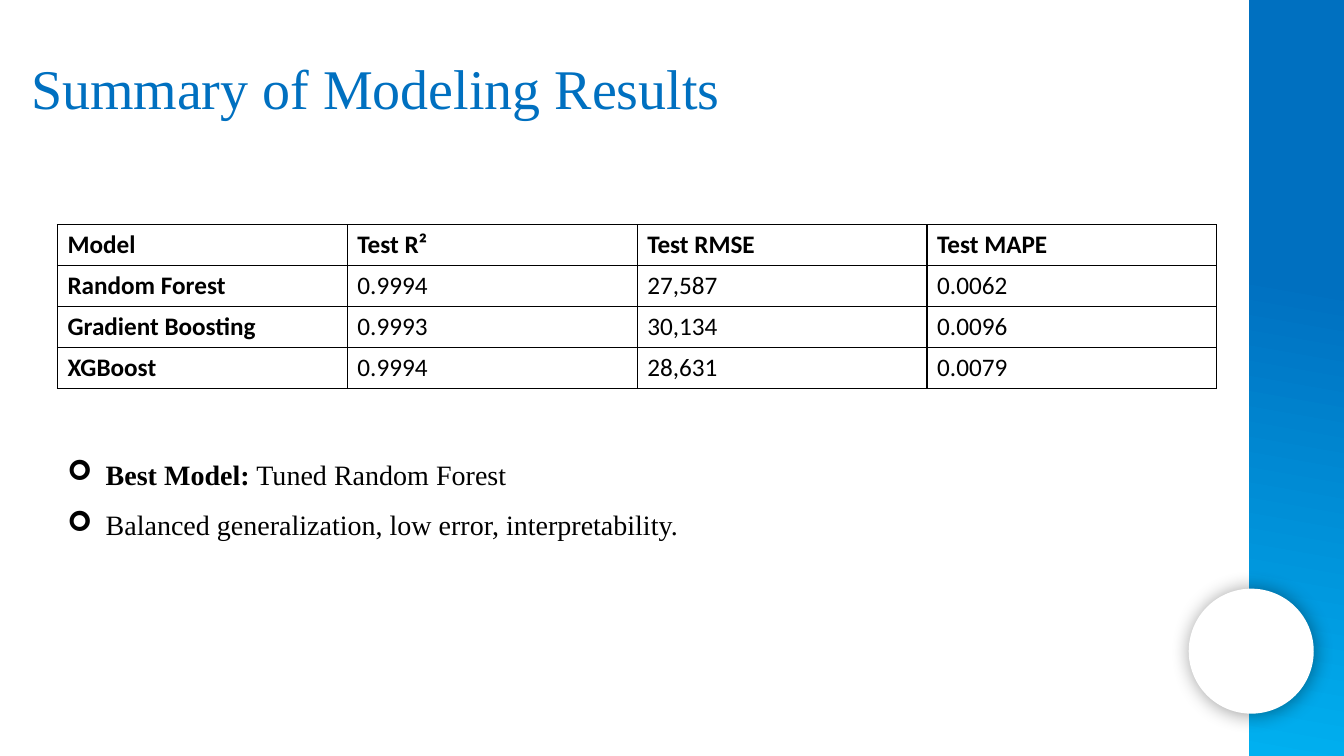
from lxml import etree
from pptx import Presentation
from pptx.dml.color import RGBColor
from pptx.enum.shapes import MSO_SHAPE
from pptx.enum.text import MSO_ANCHOR, PP_ALIGN
from pptx.oxml import parse_xml
from pptx.oxml.ns import qn
from pptx.util import Inches, Pt

RECT, OVAL = MSO_SHAPE.RECTANGLE, MSO_SHAPE.OVAL
MIDDLE, JUSTIFY = MSO_ANCHOR.MIDDLE, PP_ALIGN.JUSTIFY
NS = 'xmlns:a="http://schemas.openxmlformats.org/drawingml/2006/main"'
SERIF, SANS = "Times New Roman", "Calibri"
BLUE, SKY, BLACK, WHITE = "0070C0", "00B0F0", "000000", "FFFFFF"

RESULTS = [
    ["Model", "Test R²", "Test RMSE", "Test MAPE"],
    ["Random Forest", "0.9994", "27,587", "0.0062"],
    ["Gradient Boosting", "0.9993", "30,134", "0.0096"],
    ["XGBoost", "0.9994", "28,631", "0.0079"],
]
POINTS = [
    [("Best Model:", True), (" Tuned Random Forest", False)],
    [("Balanced generalization, low error, interpretability.", False)],
]


def color(code):
    return RGBColor.from_string(code)


def style(run, size, face, code, bold=False):
    font = run.font
    font.size, font.name, font.bold = Pt(size), face, bold
    font.color.rgb = color(code)


def add_band(slide, left, top, width, height):
    """Gradient side band with a white disc centred near its left edge."""
    band = slide.shapes.add_shape(RECT, Inches(left), Inches(top),
                                  Inches(width), Inches(height))
    band.shadow.inherit = False
    band.line.fill.background()
    band.fill.gradient()
    band.fill.gradient_angle = 260
    stops = [(0.37, BLUE), (1, SKY)]
    for stop, (place, code) in zip(band.fill.gradient_stops, stops):
        stop.position = place
        stop.color.rgb = color(code)

    size = 1.24
    disc = slide.shapes.add_shape(OVAL, Inches(left - 0.6),
                                  Inches(top + height - size - 0.42),
                                  Inches(size), Inches(size))
    disc.fill.solid()
    disc.fill.fore_color.rgb = color(WHITE)
    disc.line.fill.background()
    disc.shadow.inherit = False
    glow = parse_xml(
        f'<a:outerShdw {NS} blurRad="{Pt(14)}" dist="{Pt(1)}" '
        f'dir="{43 * 60000}" algn="ctr" rotWithShape="0">'
        f'<a:srgbClr val="{BLACK}"><a:alpha val="40000"/></a:srgbClr>'
        '</a:outerShdw>')
    disc._element.spPr.find(qn("a:effectLst")).append(glow)


def add_box(slide, left, top, width, height):
    box = slide.shapes.add_textbox(Inches(left), Inches(top),
                                   Inches(width), Inches(height))
    box.text_frame.word_wrap = True
    return box.text_frame


def add_title(slide, left, top, width, height):
    frame = add_box(slide, left, top, width, height)
    frame.text = "Summary of Modeling Results"
    style(frame.paragraphs[0].runs[0], 40, SERIF, BLUE)


def add_edges(cell):
    props = cell._tc.get_or_add_tcPr()
    for side in "LRTB":
        props.append(parse_xml(
            f'<a:ln{side} {NS} w="{Pt(1)}"><a:solidFill>'
            f'<a:srgbClr val="{BLACK}"/></a:solidFill></a:ln{side}>'))


def add_results(slide, left, top, width, height):
    rows, cols = len(RESULTS), len(RESULTS[0])
    table = slide.shapes.add_table(rows, cols, Inches(left), Inches(top),
                                   Inches(width), Inches(height)).table
    table.first_row = table.horz_banding = False
    for i, row in enumerate(RESULTS):
        for j, text in enumerate(row):
            cell = table.cell(i, j)
            cell.text = text
            cell.vertical_anchor = MIDDLE
            add_edges(cell)
            cell.fill.background()
            run = cell.text_frame.paragraphs[0].runs[0]
            style(run, 18, SANS, BLACK, i == 0 or j == 0)


def add_points(slide, left, top, width, height):
    frame = add_box(slide, left, top, width, height)
    for i, parts in enumerate(POINTS):
        para = frame.add_paragraph() if i else frame.paragraphs[0]
        para.alignment = JUSTIFY
        para.line_spacing = 1.5
        props = para._p.get_or_add_pPr()
        props.set("marL", str(Inches(0.38)))
        props.set("indent", str(-Inches(0.38)))
        etree.SubElement(props, qn("a:buFont")).set("typeface", "Wingdings")
        etree.SubElement(props, qn("a:buChar")).set("char", "➢")
        for text, bold in parts:
            run = para.add_run()
            run.text = text
            style(run, 20, SERIF, BLACK, bold)


def main():
    deck = Presentation()
    deck.slide_width, deck.slide_height = Inches(13.33), Inches(7.5)
    slide = deck.slides.add_slide(deck.slide_layouts[6])
    add_band(slide, 12.39, 0, 0.94, 7.5)
    add_results(slide, 0.57, 2.23, 11.5, 1.6)
    add_title(slide, 0.21, 0.48, 9.97, 0.77)
    add_points(slide, 0.57, 4.32, 11.36, 1.05)
    deck.save("out.pptx")


if __name__ == "__main__":
    main()
